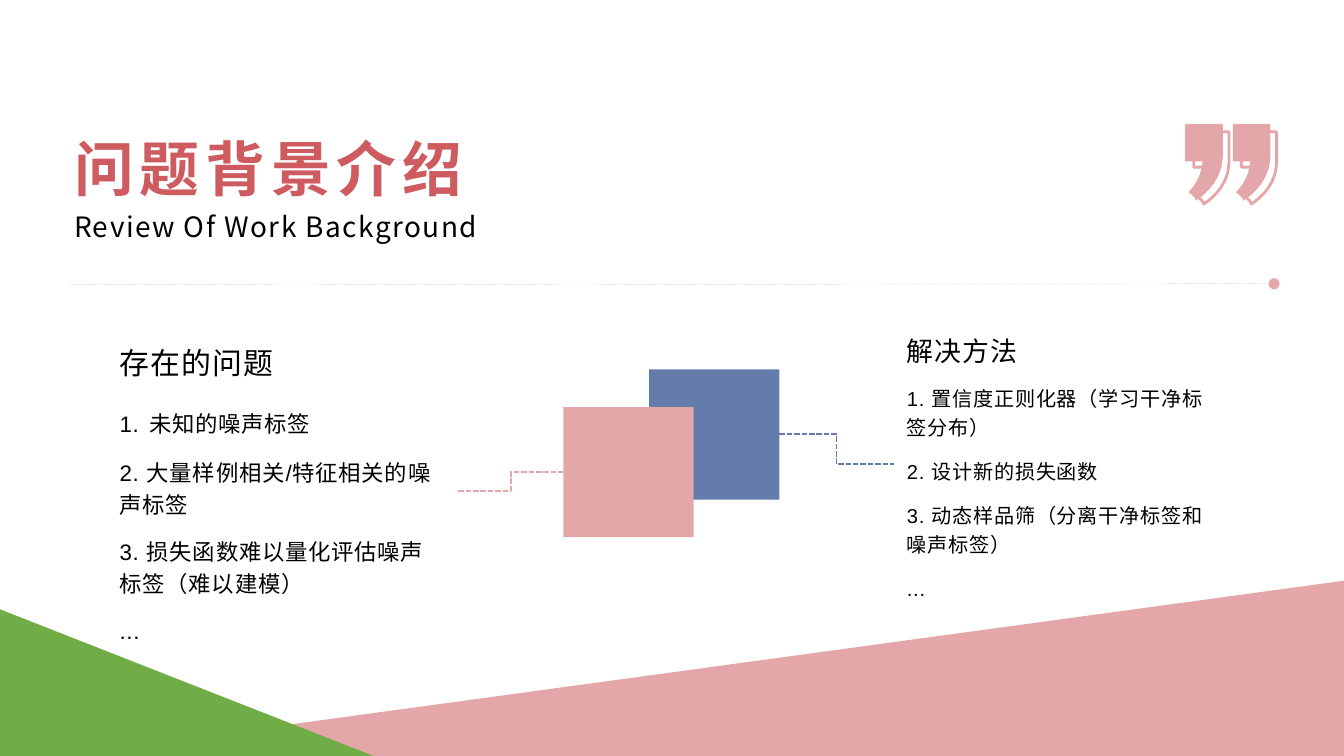
from dataclasses import dataclass

import pptx
import pptx.dml.color
import pptx.enum.dml
import pptx.enum.shapes
import pptx.enum.text
import pptx.oxml
import pptx.oxml.ns
import pptx.util
from lxml import etree

Cm, Pt = pptx.util.Cm, pptx.util.Pt
Shape = pptx.enum.shapes.MSO_SHAPE
Elbow = pptx.enum.shapes.MSO_CONNECTOR
Dash = pptx.enum.dml.MSO_LINE
Anchor = pptx.enum.text.MSO_ANCHOR

PINK, BLUE, GREEN, RED, BLACK = "E4A7A9", "637CAC", "70AD47", "CD5B5F", "000000"
CJK = "Noto Sans CJK SC"


@dataclass
class Run:
    text: str
    size: float
    spacing: float
    font: str = "Arial"
    color: str = BLACK
    bold: bool = False


@dataclass
class Box:
    left: float
    top: float
    width: float
    height: float


@dataclass
class Block:
    kind: int
    box: Box
    color: str
    flipped: bool = False


@dataclass
class Link:
    kind: int
    start: tuple[float, float]
    end: tuple[float, float]
    color: str
    width: float
    dash: int


@dataclass
class Curve:
    """A cubic Bezier segment; a plain tuple stands for a straight one."""
    first: tuple[float, float]
    second: tuple[float, float]
    end: tuple[float, float]


MARK_START = (0.2, 1.45)
MARK = [
    (0.18, 1.4), Curve((0.15, 1.37), (0.13, 1.35), (0.08, 1.3)),
    (0.05, 1.3), Curve((0.05, 1.3), (0.3, 1.09), (0.33, 0.71)),
    (0, 0.71), (0, 0), (0.71, 0), (0.71, 0.64),
    Curve((0.69, 1.17), MARK_START, MARK_START),
]

BLOCKS = [
    Block(Shape.RECTANGLE, Box(12.27, 6.98, 2.46, 2.46), BLUE),
    Block(Shape.RECTANGLE, Box(10.65, 7.69, 2.46, 2.46), PINK),
    Block(Shape.RIGHT_TRIANGLE, Box(1.12, 10.97, 24.28, 3.31), PINK, True),
    Block(Shape.RIGHT_TRIANGLE, Box(0, 11.51, 7.06, 2.77), GREEN),
]

LINKS = [
    Link(Elbow.ELBOW, (8.66, 9.27), (10.65, 8.92), PINK, 1, Dash.SQUARE_DOT),
    Link(Elbow.ELBOW, (14.73, 8.2), (16.89, 8.77), BLUE, 1, Dash.SQUARE_DOT),
]
RULE = Link(Elbow.STRAIGHT, (24.08, 5.36), (1.32, 5.38), PINK, 0.1, Dash.DASH)


def item(text: str, size: float) -> list[Run]:
    return [Run(text, size, 0.4)]


PROBLEMS = [
    [Run("存在的问题", 16, 0.6)],
    [Run("1.", 12, 0.4), Run(" ", 16, 0.6), Run("未知的噪声标签", 12, 0.4)],
    item("2. 大量样例相关/特征相关的噪声标签", 12),
    item("3. 损失函数难以量化评估噪声标签（难以建模）", 12),
    item("...", 12),
]
METHODS = [
    [Run("解决方法", 14.4, 0.6)],
    item("1. 置信度正则化器（学习干净标签分布）", 10.8),
    item("2. 设计新的损失函数", 10.8),
    item("3. 动态样品筛（分离干净标签和噪声标签）", 10.8),
    item("...", 10.8),
]


def rgb(value: str) -> pptx.dml.color.RGBColor:
    return pptx.dml.color.RGBColor.from_string(value)


def add_child(parent, tag: str, **attributes: str):
    child = etree.SubElement(parent, pptx.oxml.ns.qn(tag))
    for key, value in attributes.items():
        child.set(key, value)
    return child


def place(shape, box: Box) -> None:
    shape.left, shape.top = Cm(box.left), Cm(box.top)
    shape.width, shape.height = Cm(box.width), Cm(box.height)


def write(shape, paragraphs: list[list[Run]], anchor, line_spacing: float,
          after: float = 0, insets: tuple[float, float] = (0.25, 0.13)) -> None:
    frame = shape.text_frame
    frame.word_wrap = True
    frame.auto_size = pptx.enum.text.MSO_AUTO_SIZE.NONE
    frame.vertical_anchor = anchor
    frame.margin_left = frame.margin_right = Cm(insets[0])
    frame.margin_top = frame.margin_bottom = Cm(insets[1])
    for number, runs in enumerate(paragraphs):
        paragraph = frame.add_paragraph() if number else frame.paragraphs[0]
        properties = paragraph._p.get_or_add_pPr()
        properties.set("marL", "0")
        properties.set("indent", "0")
        add_child(properties, "a:buNone")
        paragraph.alignment = pptx.enum.text.PP_ALIGN.LEFT
        paragraph.line_spacing = line_spacing
        paragraph.space_before, paragraph.space_after = Pt(0), Pt(after)
        for part in runs:
            run = paragraph.add_run()
            run.text = part.text
            run.font.size, run.font.bold = Pt(part.size), part.bold
            run.font.color.rgb = rgb(part.color)
            run.font.name = part.font
            run_properties = run._r.get_or_add_rPr()
            run_properties.set("spc", str(round(part.spacing * 100)))
            add_child(run_properties, "a:ea", typeface=CJK)


def paint(shape, color: str) -> None:
    shape.shadow.inherit = False
    shape.fill.solid()
    shape.fill.fore_color.rgb = rgb(color)
    shape.line.fill.background()


def draw_block(shapes, block: Block) -> None:
    box = block.box
    shape = shapes.add_shape(block.kind, Cm(box.left), Cm(box.top), Cm(box.width), Cm(box.height))
    paint(shape, block.color)
    if block.flipped:
        shape._element.spPr.find(pptx.oxml.ns.qn("a:xfrm")).set("flipH", "1")


def draw_link(shapes, link: Link):
    connector = shapes.add_connector(link.kind, *map(Cm, link.start + link.end))
    connector.line.color.rgb = rgb(link.color)
    connector.line.width = Pt(link.width)
    connector.line.dash_style = link.dash
    add_child(connector._element.spPr, "a:effectLst")
    return connector


def mark_points(scale: float, steps: int = 8) -> list[tuple[int, int]]:
    """Flatten the quotation mark into short straight segments."""
    points = [MARK_START]
    for segment in MARK:
        if isinstance(segment, Curve):
            corners = (points[-1], segment.first, segment.second, segment.end)
            for step in range(1, steps + 1):
                t = step / steps
                weights = ((1 - t) ** 3, 3 * t * (1 - t) ** 2, 3 * t * t * (1 - t), t ** 3)
                points.append(tuple(sum(w * c[axis] for w, c in zip(weights, corners))
                                    for axis in (0, 1)))
        else:
            points.append(segment)
    return [(Cm(x * scale), Cm(y * scale)) for x, y in points]


def draw_mark(shapes, left: float, top: float, scale: float, outlined: bool) -> None:
    start, *others = mark_points(scale)
    builder = shapes.build_freeform(*start, scale=1.0)
    builder.add_line_segments(others, close=True)
    mark = builder.convert_to_shape(Cm(left), Cm(top))
    paint(mark, PINK)
    if outlined:
        mark.fill.background()
        mark.line.color.rgb = rgb(PINK)
        mark.line.width = Pt(1.5)


def main() -> None:
    deck = pptx.Presentation()
    deck.slide_width, deck.slide_height = Cm(25.4), Cm(14.28)
    slide = deck.slides.add_slide(deck.slide_layouts.get_by_name("Two Content"))
    shapes = slide.shapes
    title, problems, methods = list(slide.placeholders)[:3]

    place(title, Box(1.27, 2.24, 20.32, 1.65))
    write(title, [[Run("问题背景介绍", 32, 3.2, CJK, RED, True)]], Anchor.BOTTOM, 0.8,
          insets=(0.13, 0.05))
    subtitle = shapes.add_textbox(Cm(1.27), Cm(3.91), Cm(20.32), Cm(0.84))
    write(subtitle, [[Run("Review Of Work Background", 15, 0.8, CJK)]], Anchor.TOP, 1,
          insets=(0.13, 0.05))
    place(problems, Box(2.01, 6.48, 6.65, 5.59))
    write(problems, PROBLEMS, Anchor.MIDDLE, 1.2, after=8)
    place(methods, Box(16.89, 6.02, 6.45, 5.49))
    write(methods, METHODS, Anchor.MIDDLE, 1.2, after=8)

    for block in BLOCKS:
        draw_block(shapes, block)
    for link in LINKS:
        draw_link(shapes, link)
    rule = draw_link(shapes, RULE)
    add_child(rule.line._get_or_add_ln(), "a:headEnd", type="oval")

    for left, top, scale, outlined in ((22.56, 2.49, 0.94, True), (22.4, 2.34, 1, False)):
        for column in (1, 0):
            draw_mark(shapes, left + column * 0.9, top, scale, outlined)
    deck.save("out.pptx")


if __name__ == "__main__":
    main()
